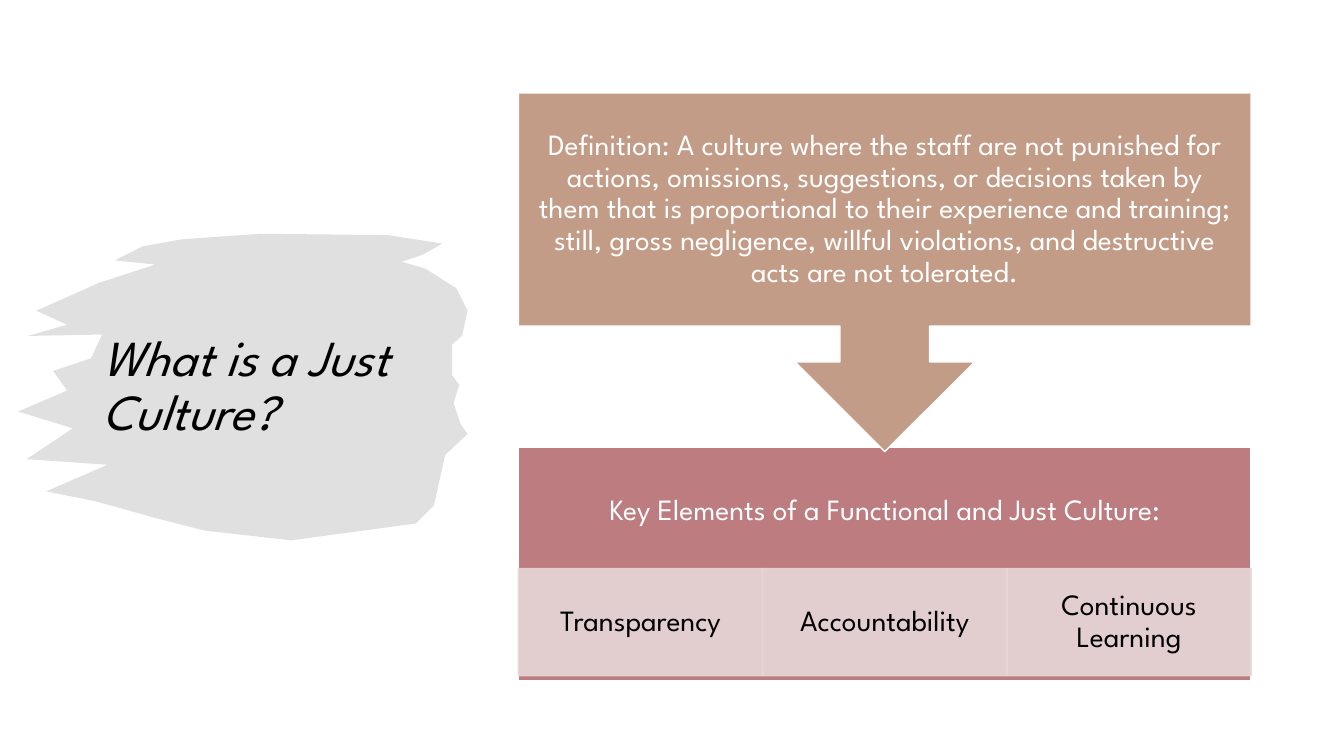
import pptx
import pptx.dml.color
import pptx.enum.shapes
import pptx.enum.text
import pptx.oxml.ns
import pptx.util

Pt = pptx.util.Pt
SHAPES = pptx.enum.shapes.MSO_SHAPE
ALIGN = pptx.enum.text.PP_ALIGN
MIDDLE = pptx.enum.text.MSO_ANCHOR.MIDDLE

COLOURS = {
    "brush": "D9D9D9",
    "definition": "C29C87",
    "elements": "BC7C80",
    "cell": "E7D7D8",
    "white": "FFFFFF",
    "black": "000000",
}
FONT = "League Spartan"
PANEL_LEFT, PANEL_WIDTH, PANEL_HEIGHT = 370.3, 523.4, 166.3
DEFINITION_TOP, CALLOUT_HEIGHT = 66.3, 256.3
ELEMENTS_TOP, HEADING_HEIGHT = 319.8, 89.8
CELL_TOP, CELL_HEIGHT = 406.1, 76.5
PANEL_INSETS = (11.5, 11.5)
CELL_INSETS = (11.5, 2.2)

DEFINITION = (
    "Definition: A culture where the staff are not punished for actions, "
    "omissions, suggestions, or decisions taken by them that is proportional "
    "to their experience and training; still, gross negligence, willful "
    "violations, and destructive acts are not tolerated."
)
ELEMENTS = ["Transparency", "Accountability", "Continuous Learning"]

BRUSH_OUTLINE = [
    (186, 167), (277, 168), (316, 174), (302, 182), (287, 187), (304, 192),
    (326, 206), (334, 222), (330, 240), (323, 246), (323, 268), (328, 275),
    (324, 288), (329, 303), (334, 310), (318, 325), (310, 361), (297, 374),
    (208, 386), (146, 379), (111, 370), (68, 358), (33, 351), (77, 332),
    (19, 328), (52, 306), (13, 294), (48, 279), (38, 265), (65, 256),
    (73, 239), (20, 240), (48, 232), (26, 222), (71, 202), (111, 189),
    (82, 186), (102, 176), (130, 171),
]


def set_values(target, values):
    for name, value in values.items():
        setattr(target, name, value)


def colour(name):
    return pptx.dml.color.RGBColor.from_string(COLOURS[name])


def paint(shape, fill, line=None, opacity=100):
    shape.shadow.inherit = False
    shape.fill.solid()
    shape.fill.fore_color.rgb = colour(fill)
    if line:
        shape.line.color.rgb = colour(line)
        shape.line.width = Pt(1)
    else:
        shape.line.fill.background()
    if opacity < 100:
        for tint in shape._element.spPr.iter(pptx.oxml.ns.qn("a:srgbClr")):
            alpha = tint.makeelement(pptx.oxml.ns.qn("a:alpha"), {"val": str(opacity * 1000)})
            tint.append(alpha)


def write(shape, text, ink, size=21, align=ALIGN.CENTER, italic=False, insets=(7.2, 3.6)):
    across, down = (Pt(inset) for inset in insets)
    frame = shape.text_frame
    set_values(frame, {
        "word_wrap": True,
        "vertical_anchor": MIDDLE,
        "margin_left": across,
        "margin_right": across,
        "margin_top": down,
        "margin_bottom": down,
    })
    para = frame.paragraphs[0]
    set_values(para, {"alignment": align, "line_spacing": 0.9})
    span = para.add_run()
    span.text = text
    set_values(span.font, {"name": FONT, "size": Pt(size), "italic": italic})
    span.font.color.rgb = colour(ink)


def add_label(page, area, text, ink, **style):
    box = page.shapes.add_textbox(*map(Pt, area))
    write(box, text, ink, **style)


def add_block(page, kind, area, fill, line, opacity=100):
    block = page.shapes.add_shape(kind, *map(Pt, area))
    paint(block, fill, line, opacity)
    return block


def add_brush_stroke(page):
    start, *rest = BRUSH_OUTLINE
    builder = page.shapes.build_freeform(*start, scale=Pt(1))
    builder.add_line_segments(rest, close=True)
    paint(builder.convert_to_shape(), "brush", opacity=80)


def add_elements(page):
    panel = (PANEL_LEFT, ELEMENTS_TOP, PANEL_WIDTH, PANEL_HEIGHT)
    add_block(page, SHAPES.RECTANGLE, panel, "elements", "white")
    heading = (PANEL_LEFT, ELEMENTS_TOP, PANEL_WIDTH, HEADING_HEIGHT)
    add_label(page, heading, "Key Elements of a Functional and Just Culture:", "white",
              insets=PANEL_INSETS)
    width = PANEL_WIDTH / len(ELEMENTS)
    for column, element in enumerate(ELEMENTS):
        area = (PANEL_LEFT + column * width, CELL_TOP, width, CELL_HEIGHT)
        cell = add_block(page, SHAPES.RECTANGLE, area, "cell", "cell", opacity=90)
        write(cell, element, "black", insets=CELL_INSETS)


def add_definition(page):
    area = (PANEL_LEFT, DEFINITION_TOP, PANEL_WIDTH, CALLOUT_HEIGHT)
    callout = add_block(page, SHAPES.UP_ARROW_CALLOUT, area, "definition", "white")
    callout.rotation = 180
    label = (PANEL_LEFT, DEFINITION_TOP, PANEL_WIDTH, PANEL_HEIGHT)
    add_label(page, label, DEFINITION, "white", insets=PANEL_INSETS)


def main():
    deck = pptx.Presentation()
    set_values(deck, {"slide_width": Pt(960), "slide_height": Pt(540)})
    page = deck.slides.add_slide(deck.slide_layouts[6])
    add_brush_stroke(page)
    add_label(page, (66.3, 118, 253.4, 316.8), "What is a Just Culture?", "black",
              size=36, align=ALIGN.LEFT, italic=True)
    add_elements(page)
    add_definition(page)
    deck.save("out.pptx")


if __name__ == "__main__":
    main()
